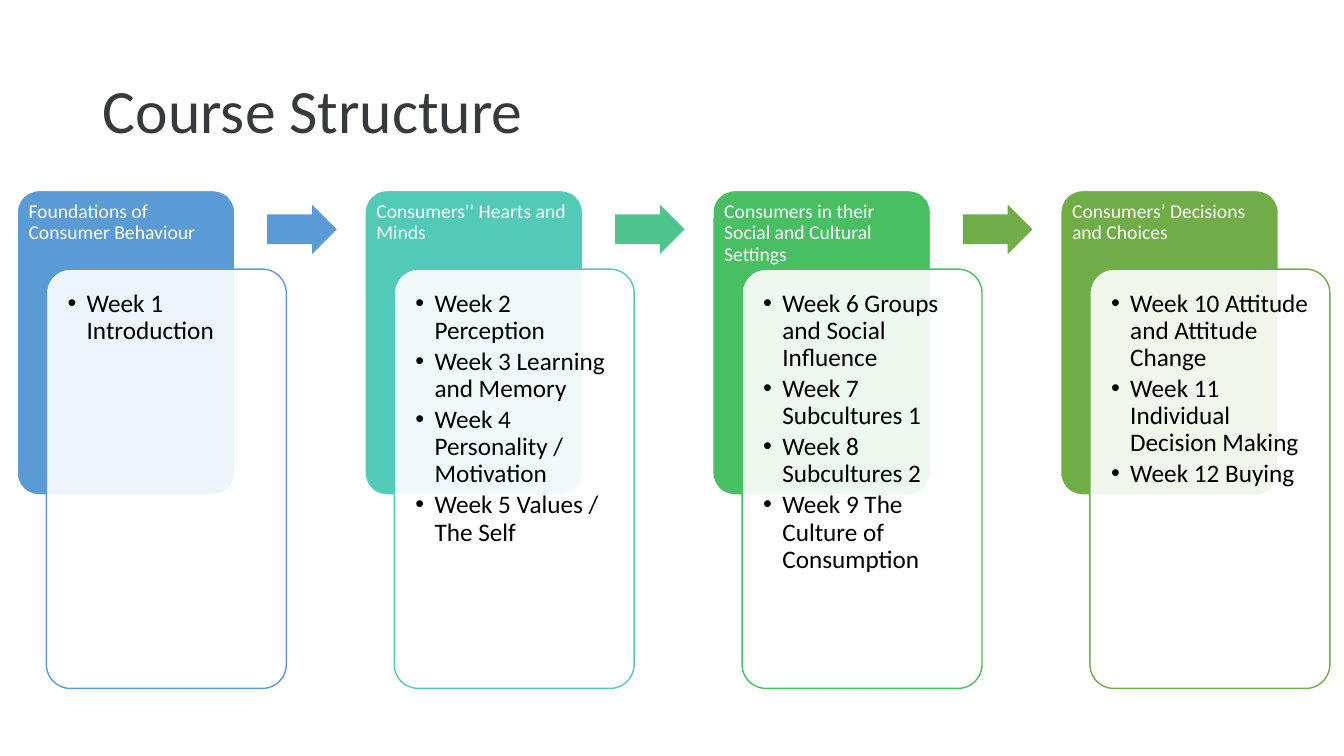
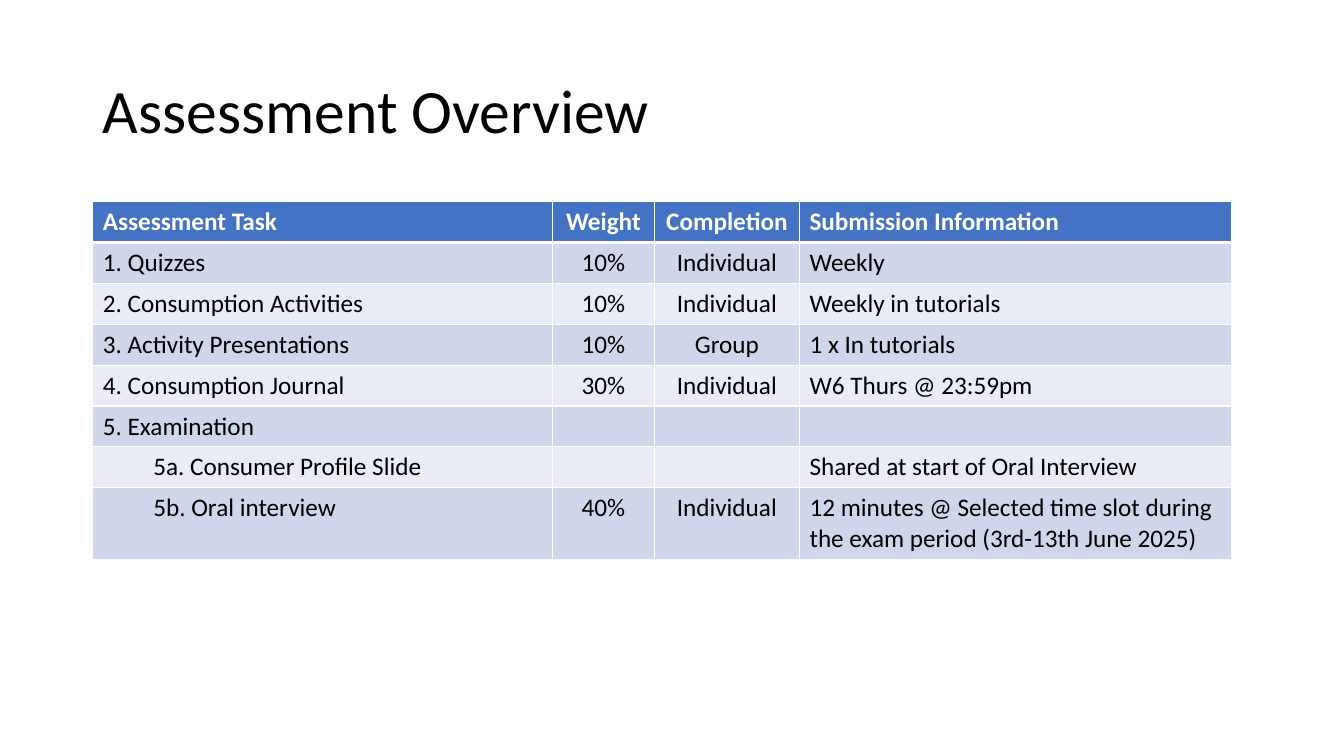
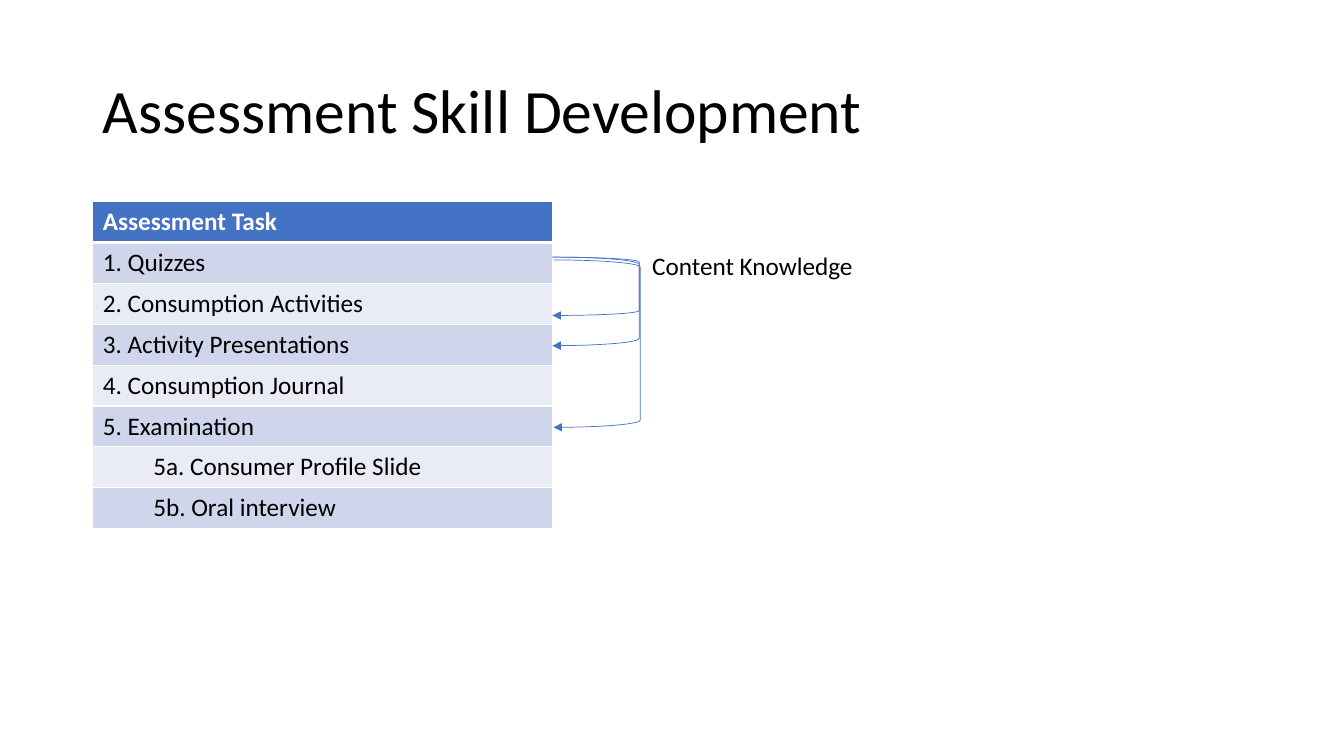
import pptx
import pptx.chart
import pptx.dml.color
import pptx.enum.shapes
import pptx.enum.text
import pptx.oxml
import pptx.oxml.ns
import pptx.util
from lxml import etree

Inches, Pt = pptx.util.Inches, pptx.util.Pt
qn = pptx.oxml.ns.qn
SHAPE = pptx.enum.shapes.MSO_SHAPE
ALIGN = pptx.enum.text.PP_ALIGN
ANCHOR = pptx.enum.text.MSO_ANCHOR

# Shared style
FONT = "Calibri"
WHITE, BLACK, SLATE = "FFFFFF", "000000", "373A3C"
HEADER_BLUE, BANDS = "4472C4", ("CFD5EA", "E9EBF5")
TITLE_BOX = (0.92, 0.4, 11.5, 1.45)
TABLE_LEFT, TABLE_TOP, TASK_WIDTH = 0.92, 2, 4.56
ROW_HEIGHT = 3.24 / 8

# Course stages: heading, colour, colour of the arrow that follows, weeks
STAGES = [
    ("Foundations of Consumer Behaviour", "5B9BD5", "5B9BD5",
     ["Week 1 Introduction"]),
    ("Consumers'’ Hearts and Minds", "52CAB8", "4DC58D",
     ["Week 2 Perception", "Week 3 Learning and Memory",
      "Week 4 Personality / Motivation", "Week 5 Values / The Self"]),
    ("Consumers in their Social and Cultural Settings", "49BF64", "70AD47",
     ["Week 6 Groups and Social Influence", "Week 7 Subcultures 1",
      "Week 8 Subcultures 2", "Week 9 The Culture of Consumption"]),
    ("Consumers’ Decisions and Choices", "70AD47", None,
     ["Week 10 Attitude and Attitude Change",
      "Week 11 Individual Decision Making", "Week 12 Buying"]),
]

ASSESSMENTS = [
    ("Assessment Task", "Weight", "Completion", "Submission Information"),
    ("1. Quizzes", "10%", "Individual", "Weekly"),
    ("2. Consumption Activities", "10%", "Individual", "Weekly in tutorials"),
    ("3. Activity Presentations", "10%", "Group", "1 x In tutorials"),
    ("4. Consumption Journal", "30%", "Individual", "W6 Thurs @ 23:59pm"),
    ("5. Examination", "", "", ""),
    ("5a. Consumer Profile Slide", "", "", "Shared at start of Oral Interview"),
    ("5b. Oral interview", "40%", "Individual",
     "12 minutes @ Selected time slot during the exam period "
     "(3rd-13th June 2025)"),
]
SUBTASKS = ("5a.", "5b.")


def rgb(colour):
    return pptx.dml.color.RGBColor.from_string(colour)


def inches(*lengths):
    return [Inches(length) for length in lengths]


def style_runs(paragraph, size, colour, bold=False):
    for run in paragraph.runs:
        run.font.name, run.font.size = FONT, Pt(size)
        run.font.bold, run.font.color.rgb = bold, rgb(colour)


def add_slide(prs, heading, colour=BLACK):
    slide = prs.slides.add_slide(prs.slide_layouts[5])
    title = slide.shapes.title
    title.left, title.top, title.width, title.height = inches(*TITLE_BOX)
    frame = title.text_frame
    frame.text = heading
    frame.vertical_anchor = ANCHOR.MIDDLE
    paragraph = frame.paragraphs[0]
    paragraph.alignment, paragraph.line_spacing = ALIGN.LEFT, 0.9
    style_runs(paragraph, 44, colour)
    return slide


def add_block(slide, preset, box, fill=None, line=None, width=1, adjust=()):
    block = slide.shapes.add_shape(preset, *inches(*box))
    block.shadow.inherit = False
    for i, value in enumerate(adjust):
        block.adjustments[i] = value
    if fill:
        block.fill.solid()
        block.fill.fore_color.rgb = rgb(fill)
    else:
        block.fill.background()
    if line:
        block.line.color.rgb, block.line.width = rgb(line), Pt(width)
    else:
        block.line.fill.background()
    return block


def write_lines(block, lines, size, colour, inset, space_after, bullets=False):
    frame = block.text_frame
    frame.word_wrap, frame.vertical_anchor = True, ANCHOR.TOP
    frame.margin_left = frame.margin_top = Inches(inset)
    frame.margin_right = frame.margin_bottom = Inches(inset)
    frame.text = "\n".join(lines)
    for paragraph in frame.paragraphs:
        paragraph.alignment, paragraph.line_spacing = ALIGN.LEFT, 0.9
        paragraph.space_after = Pt(space_after)
        if bullets:
            props = paragraph._p.get_or_add_pPr()
            props.set("marL", str(Inches(0.19)))
            props.set("indent", str(-Inches(0.19)))
            etree.SubElement(props, qn("a:buFont")).set("typeface", "Arial")
            etree.SubElement(props, qn("a:buChar")).set("char", "•")
        style_runs(paragraph, size, colour)


def add_stage(slide, left, top, heading, colour, arrow_colour, weeks):
    # Coloured heading panel
    panel = add_block(slide, SHAPE.ROUNDED_RECTANGLE, (left, top, 2.16, 3.02),
                      colour, WHITE, adjust=[0.1])
    write_lines(panel, [heading], 14, WHITE, 0.05, 6)
    # Translucent card listing the weeks
    card = add_block(slide, SHAPE.ROUNDED_RECTANGLE,
                     (left + 0.29, top + 0.78, 2.38, 4.16),
                     WHITE, colour, adjust=[0.1])
    fill = card.fill.fore_color._xFill.find(qn("a:srgbClr")) \
        if hasattr(card.fill.fore_color, "_xFill") else \
        card.element.spPr.find(qn("a:solidFill")).find(qn("a:srgbClr"))
    etree.SubElement(fill, qn("a:alpha")).set("val", "90000")
    write_lines(card, weeks, 18, BLACK, 0.14, 2.7, bullets=True)
    # Arrow to the next stage
    if arrow_colour:
        add_block(slide, SHAPE.RIGHT_ARROW,
                  (left + 2.48, top + 0.14, 0.69, 0.49),
                  arrow_colour, adjust=[0.6, 0.5])


def add_border(cell, side, width):
    line = etree.SubElement(cell._tc.get_or_add_tcPr(), qn("a:ln" + side))
    line.set("w", str(Pt(width)))
    fill = etree.SubElement(line, qn("a:solidFill"))
    etree.SubElement(fill, qn("a:srgbClr")).set("val", WHITE)


def add_assessment_table(slide, rows, widths):
    table = slide.shapes.add_table(
        len(rows), len(widths),
        *inches(TABLE_LEFT, TABLE_TOP, sum(widths), ROW_HEIGHT * len(rows))).table
    for column, width in zip(table.columns, widths):
        column.width = Inches(width)
    for r, row in enumerate(rows):
        table.rows[r].height = Inches(ROW_HEIGHT)
        for c, text in enumerate(row):
            cell = table.cell(r, c)
            for side in ("L", "R", "T", "B") if r == 0 else ("L", "R", "B"):
                add_border(cell, side, 3 if r == 0 and side == "B" else 1)
            cell.fill.solid()
            cell.fill.fore_color.rgb = rgb(
                BANDS[(r - 1) % 2] if r else HEADER_BLUE)
            paragraph = cell.text_frame.paragraphs[0]
            paragraph.text = text
            if c in (1, 2):
                paragraph.alignment = ALIGN.CENTER
            if text.startswith(SUBTASKS):
                paragraph.level = 1
                paragraph._p.get_or_add_pPr().set("marL", str(Inches(0.5)))
            style_runs(paragraph, 18, BLACK if r else WHITE, bold=r == 0)


def add_skill_link(slide, left, start_row, end_row):
    bracket = add_block(
        slide, SHAPE.RIGHT_BRACKET,
        (left, TABLE_TOP + start_row * ROW_HEIGHT,
         0.86, (end_row - start_row) * ROW_HEIGHT),
        line=HEADER_BLUE, width=0.5)
    outline = bracket.element.spPr.find(qn("a:ln"))
    etree.SubElement(outline, qn("a:tailEnd")).set("type", "triangle")


def add_skill_label(slide, text, box):
    label = slide.shapes.add_textbox(*inches(*box))
    frame = label.text_frame
    frame.word_wrap = False
    frame.auto_size = pptx.enum.text.MSO_AUTO_SIZE.SHAPE_TO_FIT_TEXT
    frame.text = text
    style_runs(frame.paragraphs[0], 18, BLACK)


def main():
    prs = pptx.Presentation()
    prs.slide_width, prs.slide_height = inches(13.33, 7.5)

    # Course structure
    structure = add_slide(prs, "Course Structure", SLATE)
    for i, stage in enumerate(STAGES):
        add_stage(structure, 0.17 + 3.45 * i, 1.89, *stage)

    # Assessment overview
    overview = add_slide(prs, "Assessment Overview")
    add_assessment_table(overview, ASSESSMENTS, [TASK_WIDTH, 1.01, 1.44, 4.29])

    # Skill development: quizzes feed three later tasks
    skills = add_slide(prs, "Assessment Skill Development")
    add_assessment_table(skills, [row[:1] for row in ASSESSMENTS], [TASK_WIDTH])
    table_right = TABLE_LEFT + TASK_WIDTH
    for gap, start_row, end_row in [(0, 1.36, 2.79), (0, 1.36, 3.53),
                                    (0.01, 1.43, 5.53)]:
        add_skill_link(skills, table_right + gap, start_row, end_row)
    add_skill_label(skills, "Content Knowledge",
                    (table_right + 0.89, 2.43, 2.22, 0.4))

    prs.save("out.pptx")


if __name__ == "__main__":
    main()
